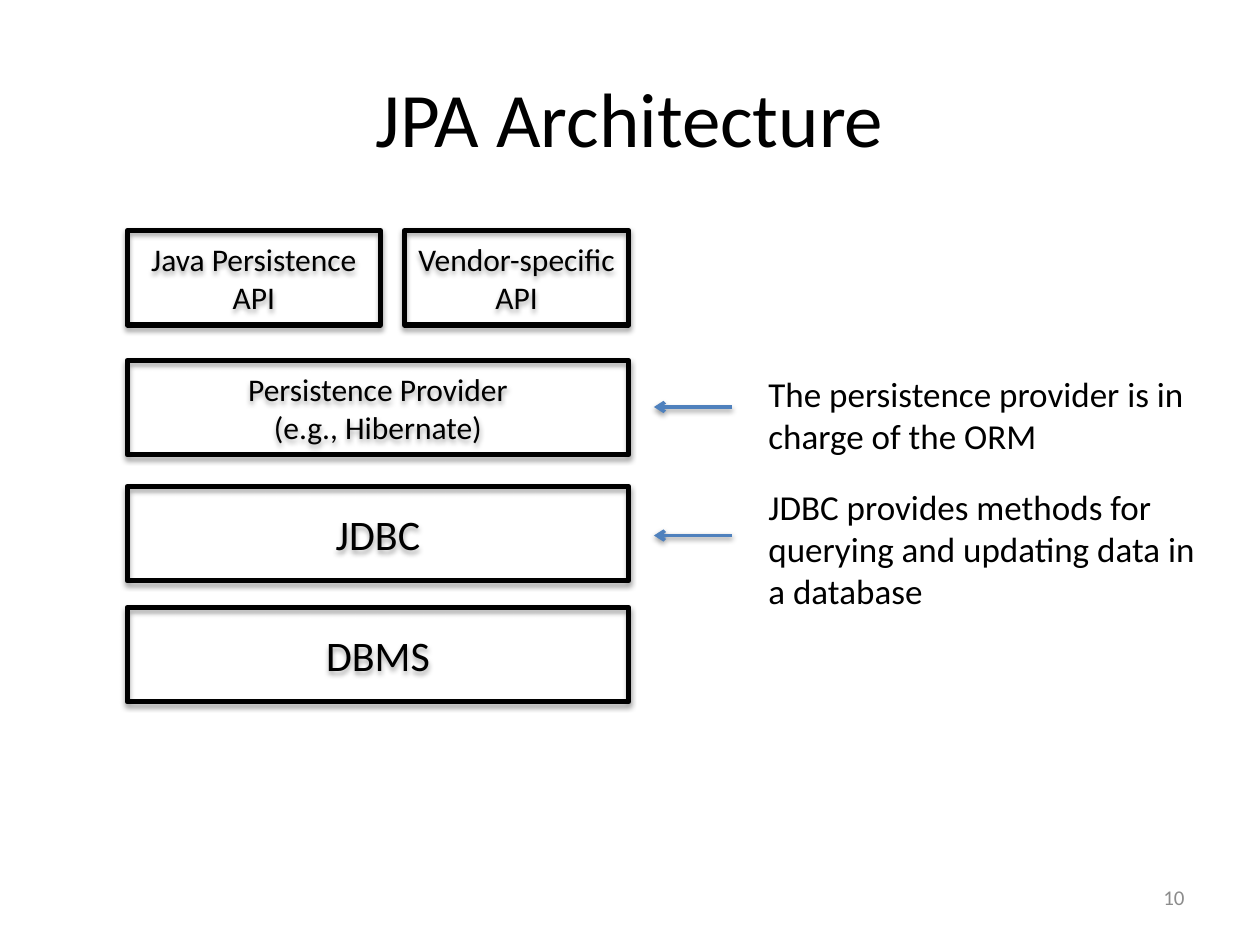
from pptx import Presentation
from pptx.dml.color import RGBColor
from pptx.enum.shapes import MSO_CONNECTOR, MSO_SHAPE
from pptx.enum.text import MSO_ANCHOR, PP_ALIGN
from pptx.oxml import parse_xml
from pptx.oxml.ns import nsdecls
from pptx.util import Inches, Pt

TITLE = "JPA Architecture"
LAYERS = [
    ("Java Persistence API", 1.01, 1.83, 2.01, 18),
    ("Vendor-specific API", 3.21, 1.83, 1.78, 18),
    ("Persistence Provider\n(e.g., Hibernate)", 1.01, 2.86, 3.98, 18),
    ("JDBC", 1.01, 3.86, 3.98, 24),
    ("DBMS", 1.01, 4.82, 3.98, 24),
]
NOTES = [
    ("The persistence provider is in charge of the ORM", 2.91, 0.77, 3.23),
    ("JDBC provides methods for querying and updating data in a database", 3.8, 1.11, 4.25),
]
PAGE_NUMBER = "10"

COLORS = {"text": "000000", "outline": "000000", "arrow": "4F81BD", "number": "8C8C8C"}
FONT = "Calibri"
LAYER_HEIGHT = 0.75
ARROW_START, ARROW_END = 5.81, 5.19
NOTE_LEFT, NOTE_WIDTH = 6, 3.72


def color(name):
    return RGBColor.from_string(COLORS[name])


def write(shape, text, size, color_name="text", align=PP_ALIGN.LEFT, anchor=MSO_ANCHOR.TOP):
    frame = shape.text_frame
    frame.word_wrap = True
    frame.vertical_anchor = anchor
    paragraph = frame.paragraphs[0]
    paragraph.text = text
    paragraph.alignment = align
    for run in paragraph.runs:
        for name, value in {"name": FONT, "size": Pt(size)}.items():
            setattr(run.font, name, value)
        run.font.color.rgb = color(color_name)


def style_line(shape, color_name, width):
    shape.line.color.rgb = color(color_name)
    shape.line.width = Pt(width)


def add_shadow(shape, opacity, distance):
    shape._element.spPr.append(parse_xml(
        f'<a:effectLst {nsdecls("a")}><a:outerShdw blurRad="{Pt(3.1)}" dist="{Pt(distance)}" '
        f'dir="5400000" rotWithShape="0"><a:srgbClr val="000000">'
        f'<a:alpha val="{opacity * 1000}"/></a:srgbClr></a:outerShdw></a:effectLst>'))


def add_layer(slide, text, left, top, width, size):
    box = slide.shapes.add_shape(
        MSO_SHAPE.RECTANGLE, *map(Inches, (left, top, width, LAYER_HEIGHT)))
    box.fill.background()
    style_line(box, "outline", 3)
    add_shadow(box, 35, 1.8)
    write(box, text, size, align=PP_ALIGN.CENTER, anchor=MSO_ANCHOR.MIDDLE)


def add_note(slide, text, top, height, arrow_y):
    note = slide.shapes.add_textbox(*map(Inches, (NOTE_LEFT, top, NOTE_WIDTH, height)))
    write(note, text, 20)
    arrow = slide.shapes.add_connector(
        MSO_CONNECTOR.STRAIGHT, *map(Inches, (ARROW_START, arrow_y, ARROW_END, arrow_y)))
    style_line(arrow, "arrow", 2)
    arrow.line._ln.append(parse_xml(f'<a:tailEnd {nsdecls("a")} type="arrow"/>'))
    add_shadow(arrow, 38, 1.6)


def main():
    presentation = Presentation()
    presentation.slide_width = Inches(10)
    presentation.slide_height = Inches(7.5)
    slide = presentation.slides.add_slide(presentation.slide_layouts[5])

    title = slide.shapes.title
    bounds = {"left": 0.5, "top": 0.3, "width": 9, "height": 1.25}
    for name, value in bounds.items():
        setattr(title, name, Inches(value))
    write(title, TITLE, 44, align=PP_ALIGN.CENTER, anchor=MSO_ANCHOR.MIDDLE)

    for layer in LAYERS:
        add_layer(slide, *layer)
    for note in NOTES:
        add_note(slide, *note)

    number = slide.shapes.add_textbox(*map(Inches, (7.17, 6.92, 2.33, 0.4)))
    write(number, PAGE_NUMBER, 12, "number", PP_ALIGN.RIGHT, MSO_ANCHOR.MIDDLE)
    presentation.save("out.pptx")


if __name__ == "__main__":
    main()
